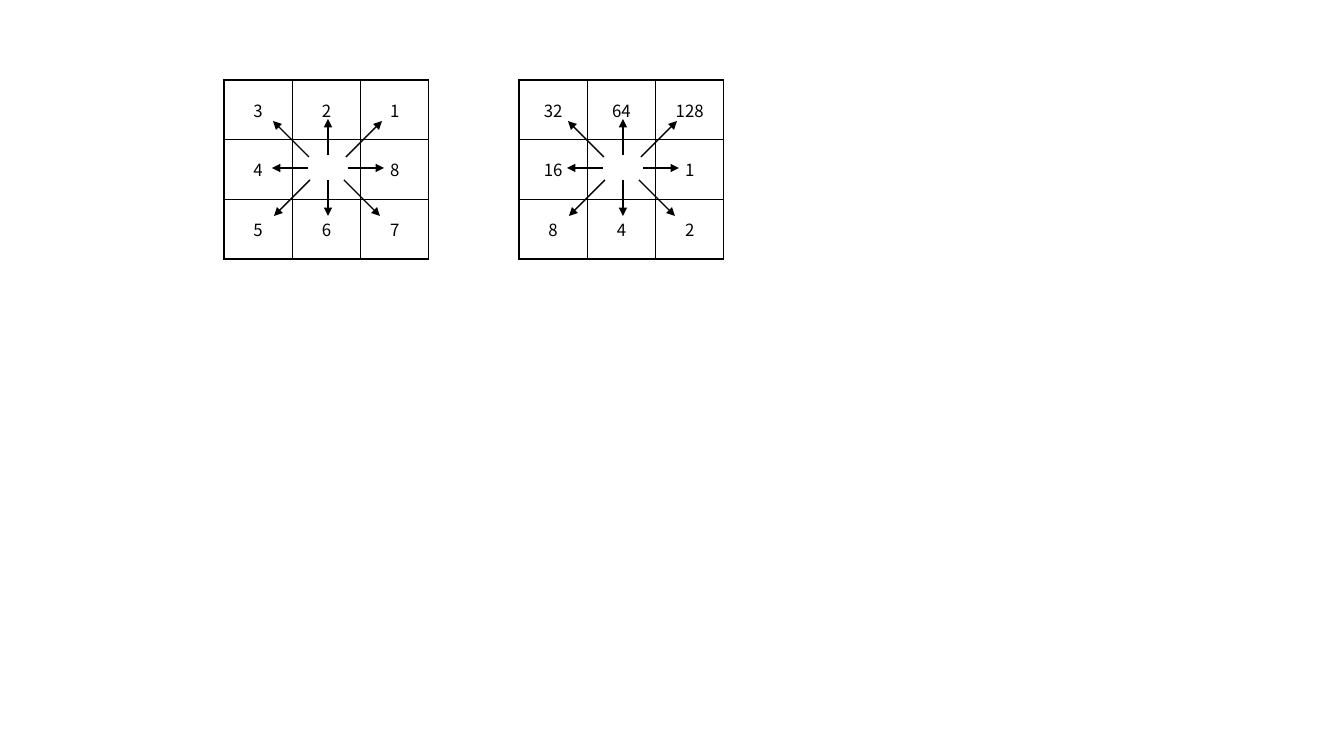
from lxml.etree import SubElement
from pptx import Presentation
from pptx.dml.color import RGBColor as RGB
from pptx.enum.shapes import MSO_CONNECTOR as LINK
from pptx.enum.text import MSO_ANCHOR as ANCHOR, PP_ALIGN as ALIGN
from pptx.oxml import parse_xml
from pptx.oxml.ns import nsdecls, qn
from pptx.util import Pt

SCALE = 914400 / 100.8
FONT = "Noto Sans CJK JP"
BLACK = "000000"
TOP, WIDTH, HEIGHT = 80, 205, 179
MID_X, MID_Y = 104, 88
REACH = 36
ARROWS = [
    ((0, -13), (0, -1)),
    ((0, 12), (0, 1)),
    ((20, 0), (1, 0)),
    ((-20, 0), (-1, 0)),
    ((18, -11), (1, -1)),
    ((-19, -11), (-1, -1)),
    ((-18, 12), (-1, 1)),
    ((16, 12), (1, 1)),
]
GRIDS = [
    (224, [["3", "2", "1"], ["4", "", "8"], ["5", "6", "7"]]),
    (519, [["32", "64", "128"], ["16", "", "1"], ["8", "4", "2"]]),
]


def px(num):
    """Turn pixels into EMU."""
    return round(num * SCALE)


def color(code):
    """Turn a hex string into a colour."""
    return RGB.from_string(code)


def add_edges(cell):
    """Draw a thin black line on all four sides of a cell."""
    props = cell._tc.get_or_add_tcPr()
    for spot, side in enumerate("LRTB"):
        edge = parse_xml(
            f'<a:ln{side} {nsdecls("a")} w="{Pt(1)}"><a:solidFill>'
            f'<a:srgbClr val="{BLACK}"/></a:solidFill></a:ln{side}>'
        )
        props.insert(spot, edge)


def fill_cell(cell, text):
    """Write centred text in a clear, edged cell."""
    cell.text = text
    cell.vertical_anchor = ANCHOR.MIDDLE
    cell.fill.background()
    add_edges(cell)
    para = cell.text_frame.paragraphs[0]
    para.alignment = ALIGN.CENTER
    para.font.name = FONT
    para.font.size = Pt(12)
    para.font.color.rgb = color(BLACK)


def add_grid(slide, left, rows):
    """Add a table of direction codes."""
    frame = slide.shapes.add_table(
        len(rows), len(rows[0]), px(left), px(TOP), px(WIDTH), px(HEIGHT)
    )
    table = frame.table
    table.first_row = table.horz_banding = False
    for row, texts in enumerate(rows):
        for col, text in enumerate(texts):
            fill_cell(table.cell(row, col), text)


def add_arrow(slide, start, end):
    """Add a black arrow between two points."""
    ends = [px(num) for num in (*start, *end)]
    arrow = slide.shapes.add_connector(LINK.STRAIGHT, *ends)
    arrow.line.width = Pt(1)
    arrow.line.color.rgb = color(BLACK)
    SubElement(arrow.line._get_or_add_ln(), qn("a:tailEnd"), type="triangle")
    SubElement(arrow._element.spPr, qn("a:effectLst"))


def add_star(slide, x, y):
    """Add the eight arrows that point away from a centre."""
    for (dx, dy), (way_x, way_y) in ARROWS:
        start = x + dx, y + dy
        end = start[0] + REACH * way_x, start[1] + REACH * way_y
        add_arrow(slide, start, end)


def main():
    """Build and save the slide."""
    deck = Presentation()
    deck.slide_width, deck.slide_height = px(1344), px(756)
    slide = deck.slides.add_slide(deck.slide_layouts[6])
    for left, rows in GRIDS:
        add_grid(slide, left, rows)
    for left, _ in GRIDS:
        add_star(slide, left + MID_X, TOP + MID_Y)
    deck.save("out.pptx")


main()
